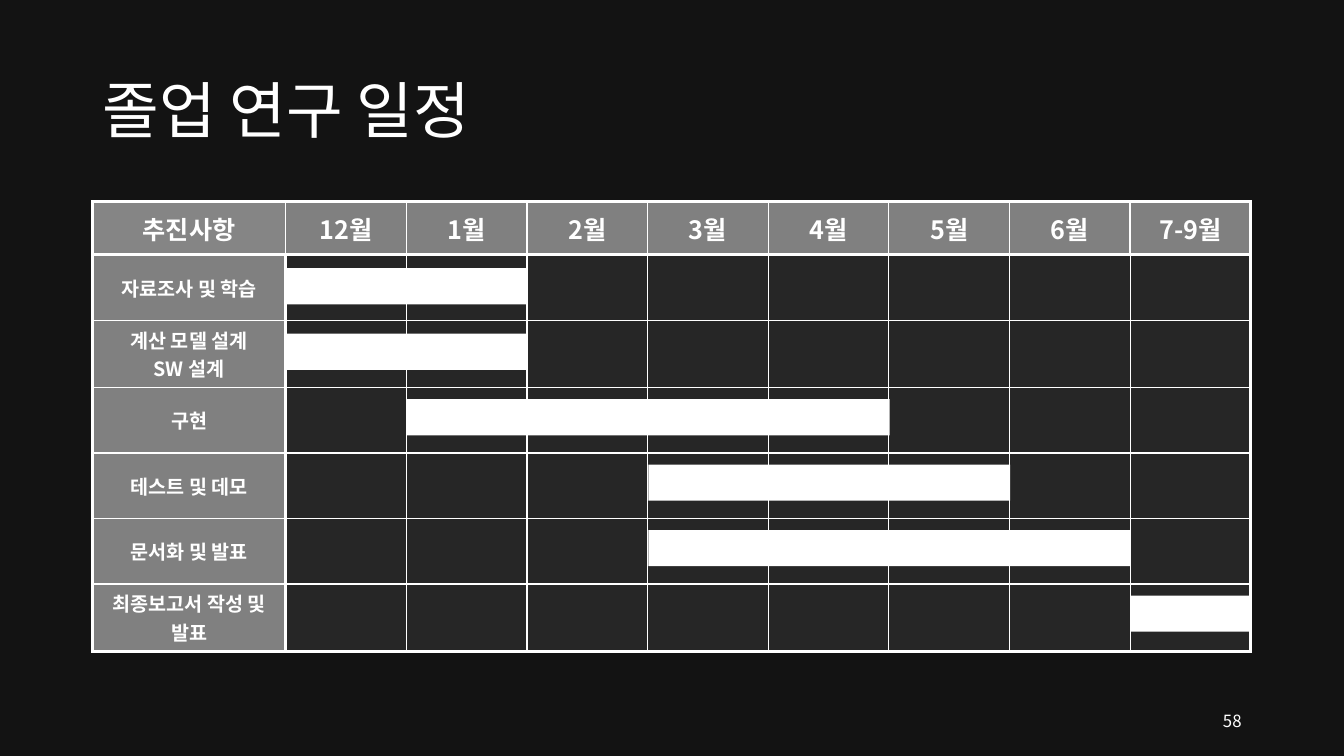
import pptx
import pptx.util
import pptx.dml.color
import pptx.enum.shapes
import pptx.enum.text
import pptx.oxml.ns
import lxml.etree
import dataclasses

Cm = pptx.util.Cm
Pt = pptx.util.Pt
Rgb = pptx.dml.color.RGBColor.from_string
Align = pptx.enum.text.PP_ALIGN
Middle = pptx.enum.text.MSO_ANCHOR.MIDDLE
qn = pptx.oxml.ns.qn


@dataclasses.dataclass
class Theme:
    font: str = "Noto Sans CJK KR"
    back: str = "131313"
    ink: str = "FFFFFF"
    corner: str = "858585"
    head: str = "808080"
    blank: str = "262626"
    title: int = 44
    month: int = 18
    task: int = 14
    page: int = 12
    thin: float = 1
    thick: float = 2.25


theme = Theme()


def style(par, size, align, bold=False):
    par.alignment = align
    font = par.font
    font.name, font.size, font.bold = theme.font, Pt(size), bold
    font.color.rgb = Rgb(theme.ink)
    face = lxml.etree.Element(qn("a:ea"), typeface=theme.font)
    par._p.pPr.find(qn("a:defRPr")).find(qn("a:latin")).addnext(face)


def border(cell, sides):
    props = cell._tc.get_or_add_tcPr()
    for side, heavy in sides.items():
        width = Pt(theme.thick if heavy else theme.thin)
        line = lxml.etree.SubElement(props, qn("a:ln" + side), w=str(width))
        fill = lxml.etree.SubElement(line, qn("a:solidFill"))
        lxml.etree.SubElement(fill, qn("a:srgbClr"), val=theme.ink)


months = ["12월", "1월", "2월", "3월", "4월", "5월", "6월", "7-9월"]
tasks = [
    ("자료조사 및 학습", 0, 2),
    ("계산 모델 설계\nSW 설계", 0, 2),
    ("구현", 1, 4),
    ("테스트 및 데모", 3, 3),
    ("문서화 및 발표", 3, 4),
    ("최종보고서 작성 및 발표", 7, 1),
]
left, top, wide = 2.33, 5.08, 29.21
first, step = 4.87, 3.04
high, row = 1.34, 1.65

prs = pptx.Presentation()
prs.slide_width, prs.slide_height = Cm(33.87), Cm(19.05)
slide = prs.slides.add_slide(prs.slide_layouts[5])
slide.background.fill.solid()
slide.background.fill.fore_color.rgb = Rgb(theme.back)

title = slide.shapes.title
title.left, title.top, title.width, title.height = Cm(left), Cm(1.01), Cm(wide), Cm(3.68)
title.text_frame.text = "졸업 연구 일정"
title.text_frame.vertical_anchor = Middle
title.text_frame.paragraphs[0].line_spacing = 0.9
style(title.text_frame.paragraphs[0], theme.title, Align.LEFT)

rows, cols = len(tasks) + 1, len(months) + 1
frame = slide.shapes.add_table(rows, cols, Cm(left), Cm(top), Cm(wide), Cm(high + row * len(tasks)))
plan = frame.table
plan.horz_banding = False
for c in range(cols):
    plan.columns[c].width = Cm(step if c else first)
for r in range(rows):
    plan.rows[r].height = Cm(row if r else high)
    for c in range(cols):
        cell = plan.cell(r, c)
        edges = {0, cols, 1} if r else {0, cols, cols - 1}
        border(cell, {
            "L": c in edges,
            "R": c + 1 in edges,
            "T": r in (0, 1),
            "B": r + 1 in (1, rows),
        })
        if r == 0:
            text, size = ["추진사항", *months][c], theme.month
            tone = theme.head if c else theme.corner
        else:
            text, size = "" if c else tasks[r - 1][0], theme.task
            tone = theme.blank if c else theme.head
        cell.fill.solid()
        cell.fill.fore_color.rgb = Rgb(tone)
        cell.vertical_anchor = Middle
        cell.text = text
        for par in cell.text_frame.paragraphs:
            style(par, size, Align.CENTER, True)

for i, (name, start, span) in enumerate(tasks):
    bar = slide.shapes.add_shape(
        pptx.enum.shapes.MSO_SHAPE.RECTANGLE,
        Cm(left + first + step * start + 0.02), Cm(6.76 + row * i), Cm(step * span), Cm(0.91))
    bar.shadow.inherit = False
    bar.fill.solid()
    bar.fill.fore_color.rgb = Rgb(theme.ink)
    bar.line.fill.background()

page = slide.shapes.add_textbox(Cm(23.92), Cm(17.66), Cm(7.62), Cm(1.01))
page.text_frame.word_wrap = True
page.text_frame.vertical_anchor = Middle
page.text_frame.text = "58"
style(page.text_frame.paragraphs[0], theme.page, Align.RIGHT)

prs.save("out.pptx")
